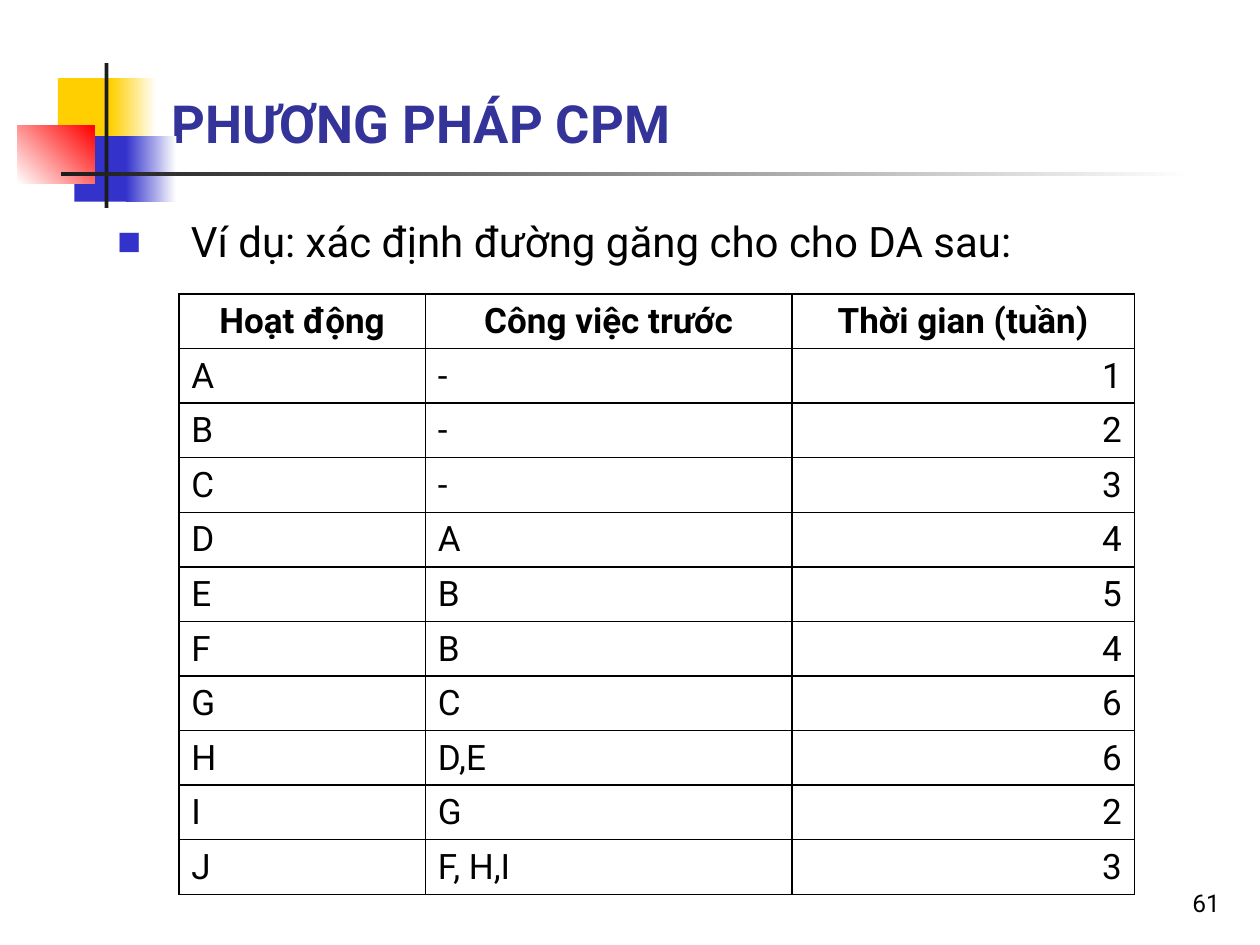
"""Build the slide with the CPM example: a table of activities, predecessors and durations."""
from lxml import etree
from pptx import Presentation
from pptx import util as u
from pptx.dml.color import RGBColor
from pptx.enum import shapes, text
from pptx.oxml import ns

Pt = u.Pt
FONT = "Roboto"
BLACK = RGBColor(0x00, 0x00, 0x00)
WHITE = RGBColor(0xFF, 0xFF, 0xFF)
CHARCOAL = RGBColor(0x1C, 0x1C, 0x1C)
YELLOW = RGBColor(0xFF, 0xCF, 0x01)
BLUE = RGBColor(0x33, 0x33, 0xCC)
RED = RGBColor(0xFF, 0x00, 0x00)
NAVY = RGBColor(0x33, 0x33, 0x99)
LEFT, CENTER, RIGHT = text.PP_ALIGN.LEFT, text.PP_ALIGN.CENTER, text.PP_ALIGN.RIGHT

TITLE = "PHƯƠNG PHÁP CPM"
EXAMPLE = "Ví dụ: xác định đường găng cho cho DA sau:"
PAGE = "61"
HEADERS = ("Hoạt động", "Công việc trước", "Thời gian (tuần)")
ACTIVITIES = [
    ("A", "-", 1),
    ("B", "-", 2),
    ("C", "-", 3),
    ("D", "A", 4),
    ("E", "B", 5),
    ("F", "B", 4),
    ("G", "C", 6),
    ("H", "D,E", 6),
    ("I", "G", 2),
    ("J", "F, H,I", 3),
]
COLUMN_WIDTHS = (140.9, 209.5, 195.6)
COLUMN_ALIGNS = (LEFT, LEFT, RIGHT)
ROW_HEIGHT = 31.2
DECORATION = [
    ((33.1, 44.6, 34.6, 37.4), (YELLOW,), 0),
    ((63.4, 44.6, 25.9, 37.4), (YELLOW, WHITE), 0),
    ((42.5, 77.8, 33.1, 37.4), (BLUE,), 0),
    ((72, 77.8, 28.8, 37.4), (BLUE, WHITE), 0),
    ((10.1, 72, 43.9, 33.1), (WHITE, RED), 45),
    ((59.8, 36, 2.2, 82.8), (CHARCOAL,), 0),
    ((34.6, 98.2, 648, 2.2), (CHARCOAL, WHITE), 0),
]


def place(part, left, top, width, height):
    part.left, part.top, part.width, part.height = map(Pt, (left, top, width, height))


def add_child(parent, tag, **attributes):
    return etree.SubElement(parent, ns.qn(tag), attributes)


def hang(paragraph, indent):
    properties = paragraph._p.get_or_add_pPr()
    properties.set("marL", str(Pt(indent)))
    properties.set("indent", str(-Pt(indent)))
    return properties


def write(frame, words, size, color=BLACK, bold=False, align=LEFT):
    frame.text = words
    paragraph = frame.paragraphs[0]
    paragraph.alignment = align
    font = paragraph.font
    font.name, font.size, font.bold = FONT, Pt(size), bold
    font.color.rgb = color
    return paragraph


def decorate(slide):
    for box, colors, angle in DECORATION:
        block = slide.shapes.add_shape(shapes.MSO_SHAPE.RECTANGLE, *map(Pt, box))
        block.shadow.inherit = False
        block.line.fill.background()
        if len(colors) == 1:
            block.fill.solid()
            block.fill.fore_color.rgb = colors[0]
        else:
            block.fill.gradient()
            block.fill.gradient_angle = angle
            for stop, color in zip(block.fill.gradient_stops, colors):
                stop.color.rgb = color


def add_title(slide):
    title = slide.shapes.title
    place(title, 90.7, 12.2, 613.4, 79.2)
    frame = title.text_frame
    frame.auto_size = text.MSO_AUTO_SIZE.NONE
    frame.vertical_anchor = text.MSO_ANCHOR.BOTTOM
    write(frame, TITLE, 30, NAVY, bold=True)


def add_example(slide):
    body = slide.placeholders[1]
    place(body, 59.8, 119.5, 576, 315)
    frame = body.text_frame
    frame.auto_size = text.MSO_AUTO_SIZE.NONE
    frame.text = EXAMPLE
    paragraph = frame.paragraphs[0]
    paragraph.space_before = Pt(0)
    properties = hang(paragraph, 42)
    add_child(add_child(properties, "a:buClr"), "a:srgbClr", val=str(BLUE))
    add_child(properties, "a:buSzPct", val="60000")
    add_child(properties, "a:buFont", typeface=FONT)
    add_child(properties, "a:buChar", char="■")
    font = paragraph.font
    font.name, font.size = FONT, Pt(24)
    font.color.rgb = BLACK


def outline(cell):
    properties = cell._tc.get_or_add_tcPr()
    for position, side in enumerate(("a:lnL", "a:lnR", "a:lnT", "a:lnB")):
        border = etree.Element(ns.qn(side), w=str(Pt(1)))
        add_child(add_child(border, "a:solidFill"), "a:srgbClr", val=str(BLACK))
        properties.insert(position, border)


def add_activities(slide):
    rows = [HEADERS, *ACTIVITIES]
    frame = slide.shapes.add_table(
        len(rows), len(HEADERS), Pt(102.2), Pt(168),
        Pt(sum(COLUMN_WIDTHS)), Pt(ROW_HEIGHT * len(rows)))
    table = frame.table
    for column, width in zip(table.columns, COLUMN_WIDTHS):
        column.width = Pt(width)
    for r, activity in enumerate(rows):
        table.rows[r].height = Pt(ROW_HEIGHT)
        for c, value in enumerate(activity):
            cell = table.cell(r, c)
            cell.vertical_anchor = text.MSO_ANCHOR.BOTTOM
            cell.fill.background()
            outline(cell)
            is_header = r == 0
            align = CENTER if is_header else COLUMN_ALIGNS[c]
            hang(write(cell.text_frame, str(value), 20, bold=is_header, align=align), 27)


def add_page_number(slide):
    page = slide.shapes.add_textbox(Pt(554.4), Pt(491.8), Pt(149.8), Pt(36))
    page.text_frame.word_wrap = True
    page.text_frame.vertical_anchor = text.MSO_ANCHOR.BOTTOM
    write(page.text_frame, PAGE, 14, align=RIGHT)


def main():
    deck = Presentation()
    deck.slide_width, deck.slide_height = Pt(720), Pt(540)
    slide = deck.slides.add_slide(deck.slide_layouts[1])
    decorate(slide)
    add_title(slide)
    add_example(slide)
    add_activities(slide)
    add_page_number(slide)
    deck.save("out.pptx")


if __name__ == "__main__":
    main()
